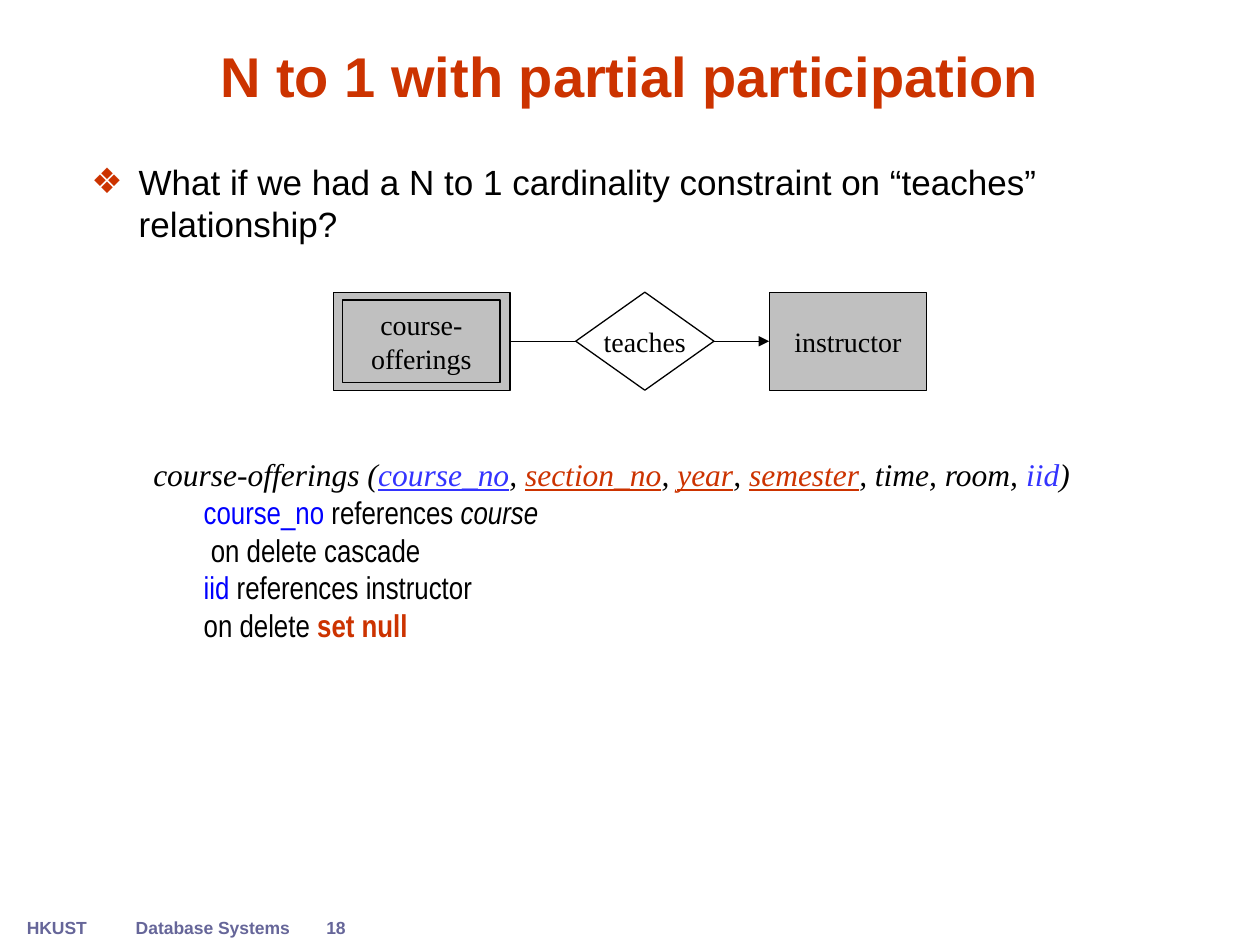
from lxml import etree
from pptx import Presentation
from pptx.dml.color import RGBColor
from pptx.enum.shapes import MSO_CONNECTOR, MSO_SHAPE
from pptx.enum.text import MSO_ANCHOR, MSO_AUTO_SIZE, PP_ALIGN
from pptx.oxml.ns import qn
from pptx.util import Pt

LEFT, CENTER = PP_ALIGN.LEFT, PP_ALIGN.CENTER
TOP, MIDDLE, BOTTOM = MSO_ANCHOR.TOP, MSO_ANCHOR.MIDDLE, MSO_ANCHOR.BOTTOM
RECT = MSO_SHAPE.RECTANGLE
PROCESS = MSO_SHAPE.FLOWCHART_PROCESS
DECISION = MSO_SHAPE.FLOWCHART_DECISION
STRAIGHT = MSO_CONNECTOR.STRAIGHT
FIXED = MSO_AUTO_SIZE.NONE

BLACK, WHITE, GRAY = "000000", "FFFFFF", "C0C0C0"
RED, BLUE, KEY, SLATE = "CC3300", "0000FF", "3333FF", "666699"
SANS, NARROW, SERIF = "Arial", "Arial Narrow", "Times New Roman"


def rgb(code):
    return RGBColor.from_string(code)


def write(para, text, size=18, font=SANS, color=BLACK, align=LEFT, **style):
    """Add a run; style holds bold, italic or underline."""
    para.alignment = align
    run = para.add_run()
    run.text = text
    run.font.size = Pt(size)
    run.font.name = font
    run.font.color.rgb = rgb(color)
    for name, value in style.items():
        setattr(run.font, name, value)


def place(shape, box):
    shape.left, shape.top, shape.width, shape.height = map(Pt, box)


def frame(shape, anchor=TOP, wrap=True):
    """Set up the text frame and return its first paragraph."""
    text = shape.text_frame
    text.auto_size = FIXED
    text.word_wrap = wrap
    text.vertical_anchor = anchor
    return text.paragraphs[0]


def add_title(slide, box):
    title = slide.shapes.title
    place(title, box)
    write(frame(title, BOTTOM), "Ν to 1 with partial participation",
          size=32, color=RED, align=CENTER, bold=True)


def add_body(slide, box):
    body = slide.placeholders[1]
    place(body, box)
    para = frame(body)
    props = para._p.get_or_add_pPr()
    props.set("marL", str(Pt(27)))
    props.set("indent", str(Pt(-27)))
    tint = etree.SubElement(props, qn("a:buClr"))
    etree.SubElement(tint, qn("a:srgbClr"), val=RED)
    etree.SubElement(props, qn("a:buChar"), char="❖")
    para.space_before = Pt(0)
    write(para, "What if we had a N to 1 cardinality constraint on "
          "“teaches” relationship?", size=20)


def add_node(slide, kind, box, fill, text="", wrap=False):
    node = slide.shapes.add_shape(kind, *map(Pt, box))
    node.shadow.inherit = False
    node.fill.solid()
    node.fill.fore_color.rgb = rgb(fill)
    node.line.color.rgb = rgb(BLACK)
    node.line.width = Pt(0.75)
    if text:
        write(frame(node, MIDDLE, wrap), text, size=16, font=SERIF,
              align=CENTER)
    return node


def join(slide, start, end, arrow=False):
    """Link the right side of one node to the left side of the next."""
    link = slide.shapes.add_connector(STRAIGHT, 0, 0, 0, 0)
    link.begin_connect(start, 3)
    link.end_connect(end, 1)
    link.line.color.rgb = rgb(BLACK)
    link.line.width = Pt(0.75)
    if arrow:
        etree.SubElement(link.line._get_or_add_ln(), qn("a:tailEnd"),
                         type="triangle")
    etree.SubElement(link._element.spPr, qn("a:effectLst"))


def add_diagram(slide, box):
    x, y, w, h = box
    offer = add_node(slide, RECT, (x, y, 101, h), GRAY)
    add_node(slide, RECT, (x + 5.25, y + 4.5, 90, h - 9), GRAY,
             "course- offerings", wrap=True)
    teach = add_node(slide, DECISION, (x + 138.5, y, 79, h), WHITE, "teaches")
    staff = add_node(slide, PROCESS, (x + w - 90, y, 90, h), GRAY,
                     "instructor")
    join(slide, offer, teach)
    join(slide, teach, staff, arrow=True)


def add_schema(slide, box):
    area = slide.shapes.add_textbox(*map(Pt, box))
    para = frame(area)
    head = [("course-offerings (", BLACK, False), ("course_no", KEY, True)]
    for name in ("section_no", "year", "semester"):
        head += [(", ", BLACK, False), (name, RED, True)]
    head += [(", time, room, ", BLACK, False), ("iid", KEY, False),
             (")", BLACK, False)]
    for text, color, line in head:
        write(para, text, font=SERIF, color=color, italic=True,
              underline=line)

    rules = [
        [("course_no", {"color": BLUE}), (" references ", {}),
         ("course", {"italic": True})],
        [(" on delete cascade", {})],
        [("iid ", {"color": BLUE}), ("references instructor", {})],
        [("on delete ", {}), ("set null", {"color": RED, "bold": True})],
    ]
    for rule in rules:
        para = area.text_frame.add_paragraph()
        para.level = 1
        props = para._p.get_or_add_pPr()
        props.set("marL", str(Pt(28.8)))
        props.set("indent", "0")
        for text, style in rule:
            write(para, text, font=NARROW, **style)


def add_footer(slide, box):
    x, y, w, h = box
    parts = [("HKUST", 0, 48, CENTER), ("Database Systems", 62, 102, LEFT),
             ("18", 152, w - 152, CENTER)]
    for text, left, width, align in parts:
        area = slide.shapes.add_textbox(Pt(x + left), Pt(y), Pt(width), Pt(h))
        write(frame(area, wrap=False), text, size=10, color=SLATE,
              align=align, bold=True)


def main():
    deck = Presentation()
    deck.slide_width, deck.slide_height = Pt(720), Pt(540)
    slide = deck.slides.add_slide(deck.slide_layouts[1])
    add_title(slide, (42, 18, 636, 48))
    add_body(slide, (45, 88, 618, 384))
    add_diagram(slide, (190.5, 167, 339, 56))
    add_schema(slide, (80.5, 256.5, 546.5, 115))
    add_footer(slide, (8.5, 520.5, 215, 19.5))
    deck.save("out.pptx")


if __name__ == "__main__":
    main()
